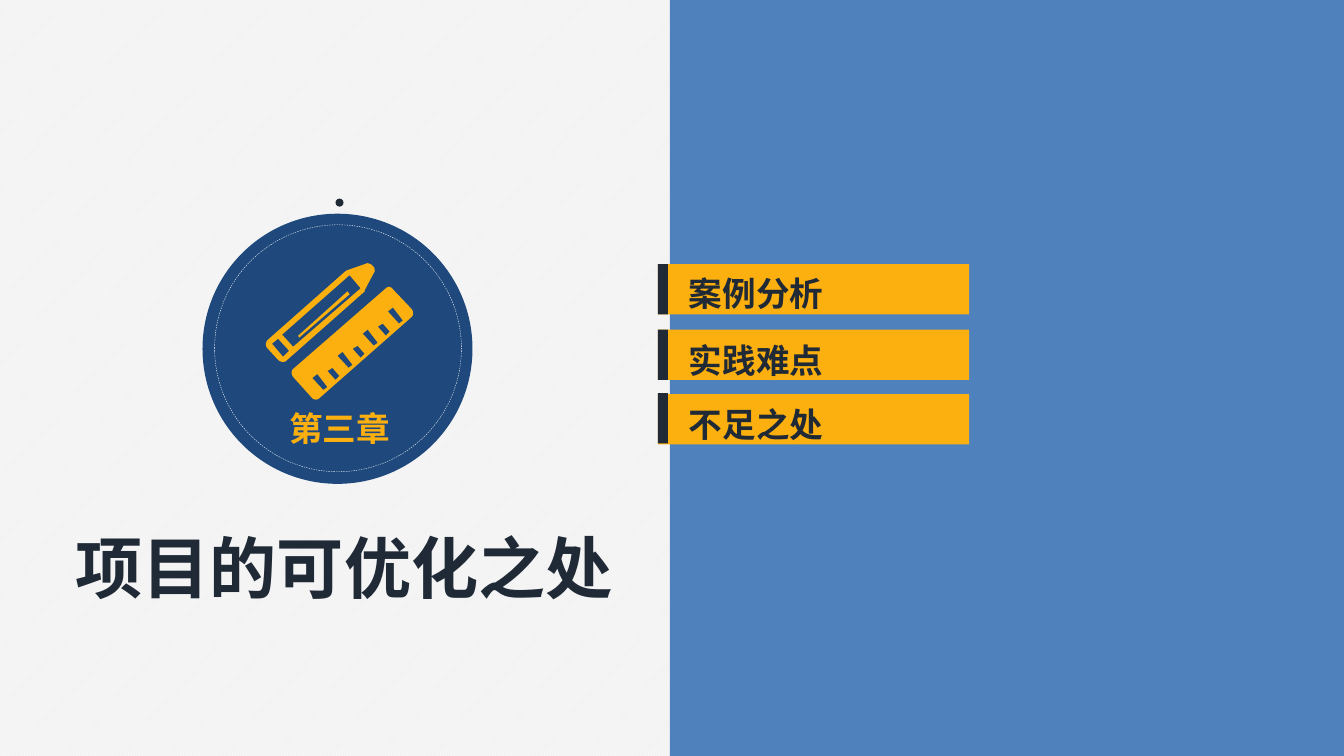
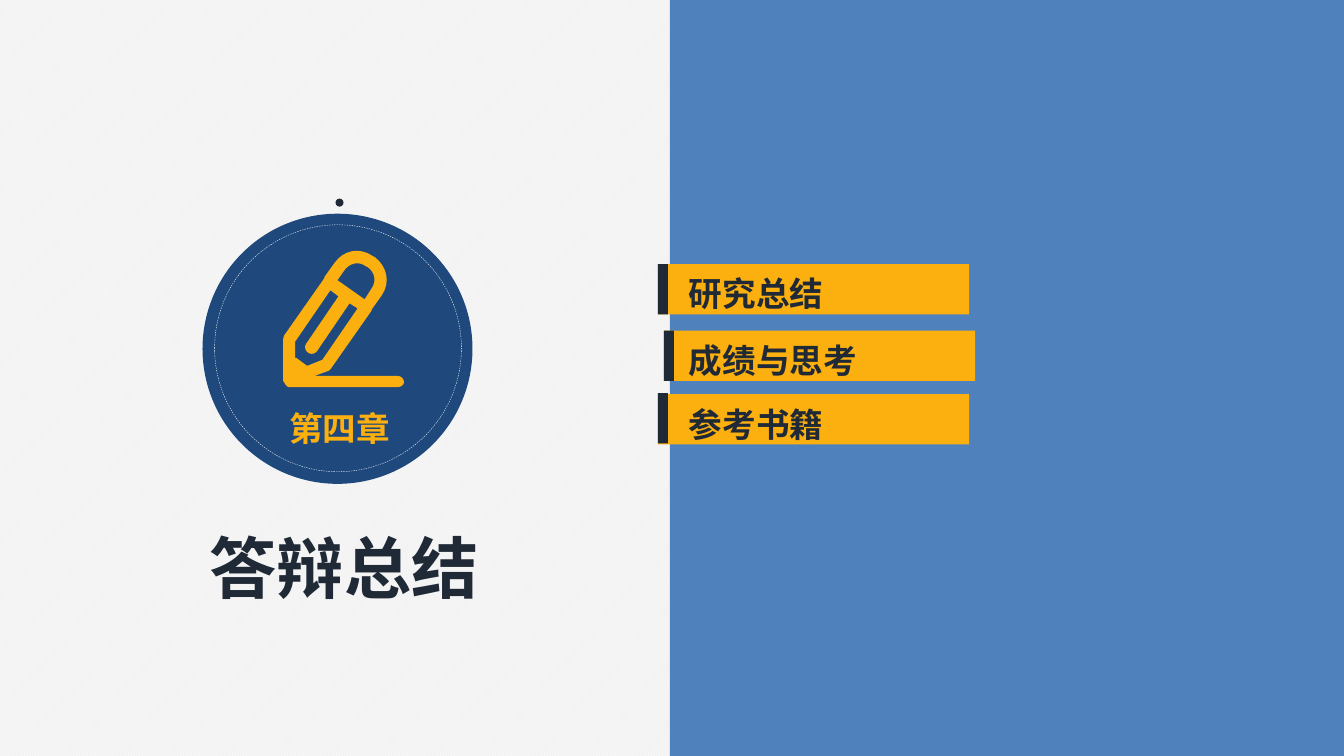
from dataclasses import dataclass

from lxml import etree
from pptx import Presentation
from pptx import util as u
from pptx.dml.color import RGBColor
from pptx.enum import dml, shapes, text
from pptx.oxml.ns import qn

PX = 9144
CURVE_STEPS = 8


@dataclass(frozen=True)
class Theme:
    paper: str = "F2F2F2"
    white: str = "FFFFFF"
    panel: str = "4F81BD"
    badge: str = "1F497D"
    accent: str = "FCB00F"
    ink: str = "202A36"
    font: str = "Noto Sans CJK SC"
    title_size: int = 48
    label_size: int = 24


def ruler_tick(index):
    x, y = 325 + 25 * index // 2, 384 - 11 * index
    corners = [(0, 0), (-7, -8), (-12, -5), (-4, 4)] if index % 2 else [(0, 0), (-10, -13), (-15, -9), (-4, 3)]
    return [(x + dx, y + dy) for dx, dy in corners]


PENCIL_AND_RULER = [
    [(297, 335), (296, 333), (345, 289), (347, 292)],
    [(287, 348), (276, 336), (270, 341), (281, 354)],
    [(358, 286), (347, 273), (280, 332), (291, 344)],
    [(276, 357), (265, 345), (263, 342, 264, 339, 266, 337), (343, 269),
     (344, 269, 344, 268, 345, 268), (365, 261), (367, 262, 369, 262, 370, 264),
     (372, 265, 372, 268, 372, 269), (362, 288), (362, 289, 362, 290, 361, 290),
     (284, 358), (282, 360, 278, 359, 276, 357)],
    *[ruler_tick(index) for index in range(7)],
    [(309, 394), (291, 374), (289, 371, 289, 368, 291, 366), (383, 286),
     (385, 284, 388, 284, 390, 287), (409, 307), (410, 309, 411, 313, 408, 315),
     (317, 395), (315, 397, 311, 397, 309, 394)],
]

WRITING_PENCIL = [
    [(395, 373), (312, 373), (326, 368), (327, 367, 328, 367, 329, 365), (369, 308),
     (369, 307), (379, 293), (388, 280, 384, 264, 372, 255), (370, 254),
     (357, 245, 341, 248, 332, 261), (322, 275), (322, 276), (282, 333),
     (282, 334, 281, 336, 281, 337), (281, 377), (281, 378, 282, 379, 283, 381),
     (284, 382, 285, 384, 287, 384), (395, 384), (398, 384, 401, 382, 401, 379),
     (401, 376, 398, 373, 395, 373)],
    [(342, 268), (347, 261, 356, 259, 363, 264), (365, 265),
     (372, 270, 374, 279, 369, 286), (362, 297), (335, 278)],
    [(294, 355), (293, 355), (293, 339), (328, 288), (336, 294), (304, 341),
     (302, 344, 303, 348, 306, 350), (309, 352, 313, 351, 315, 348), (347, 301),
     (355, 306), (320, 357), (305, 363)],
]

ROWS = [(262, 262, 266), (327, 327, 332), (391, 390, 396)]
CHAPTERS = [
    ("第三章", "项目的可优化之处", PENCIL_AND_RULER,
     [("案例分析", 0, 0), ("实践难点", 0, 0), ("不足之处", 0, 0)]),
    ("第四章", "答辩总结", WRITING_PENCIL,
     [("研究总结", 0, 0), ("成绩与思考", 6, 1), ("参考书籍", 0, 0)]),
]


def flatten(contour):
    points = []
    for step in contour:
        if len(step) == 2:
            points.append(step)
            continue
        start, first, second, end = points[-1], step[:2], step[2:4], step[4:]
        for part in range(1, CURVE_STEPS + 1):
            t = part / CURVE_STEPS
            points.append(tuple(
                (1 - t) ** 3 * a + 3 * t * (1 - t) ** 2 * b + 3 * t * t * (1 - t) * c + t ** 3 * d
                for a, b, c, d in zip(start, first, second, end)))
    return [(x * PX, y * PX) for x, y in points]


class Deck:
    def __init__(self, theme):
        self.theme = theme
        self.prs = Presentation()
        self.prs.slide_width, self.prs.slide_height = 1334 * PX, 750 * PX
        paper = self.prs.slide_master.background.fill
        paper.patterned()
        paper.pattern = dml.MSO_PATTERN.LIGHT_UPWARD_DIAGONAL
        paper.fore_color.rgb = RGBColor.from_string(theme.white)
        paper.back_color.rgb = RGBColor.from_string(theme.paper)

    def new_slide(self):
        self.slide = self.prs.slides.add_slide(self.prs.slide_layouts[5])

    def paint(self, shape, fill):
        shape.shadow.inherit = False
        shape.line.fill.background()
        if fill:
            shape.fill.solid()
            shape.fill.fore_color.rgb = RGBColor.from_string(fill)
        else:
            shape.fill.background()
        return shape

    def block(self, x, y, w, h, fill):
        kind = shapes.MSO_SHAPE.RECTANGLE
        return self.paint(self.slide.shapes.add_shape(kind, x * PX, y * PX, w * PX, h * PX), fill)

    def disc(self, x, y, size, fill=None):
        kind = shapes.MSO_SHAPE.OVAL
        return self.paint(self.slide.shapes.add_shape(kind, x * PX, y * PX, size * PX, size * PX), fill)

    def dashed_ring(self, x, y, size):
        line = self.disc(x, y, size).line
        line.color.rgb = RGBColor.from_string(self.theme.white)
        line.width = u.Pt(0.25)
        line.dash_style = dml.MSO_LINE.DASH

    def icon(self, contours):
        outlines = [flatten(contour) for contour in contours]
        builder = self.slide.shapes.build_freeform(*outlines[0][0], scale=1.0)
        for index, outline in enumerate(outlines):
            if index:
                builder.move_to(*outline[0])
            builder.add_line_segments(outline[1:], close=True)
        self.paint(builder.convert_to_shape(), self.theme.accent)

    def set_words(self, box, words, size, color, align, anchor, wrap=False):
        frame = box.text_frame
        frame.text = words
        frame.word_wrap = wrap
        frame.auto_size = text.MSO_AUTO_SIZE.NONE if wrap else text.MSO_AUTO_SIZE.SHAPE_TO_FIT_TEXT
        frame.vertical_anchor = anchor
        paragraph = frame.paragraphs[0]
        paragraph.alignment = align
        run = paragraph.runs[0]
        run.font.size = u.Pt(size)
        run.font.bold = True
        run.font.name = self.theme.font
        run.font.color.rgb = RGBColor.from_string(color)
        etree.SubElement(run._r.get_or_add_rPr(), qn("a:ea"), typeface=self.theme.font)

    def title(self, words):
        box = self.slide.shapes.title
        box.left, box.top, box.width, box.height = 62 * PX, 517 * PX, 559 * PX, 91 * PX
        self.set_words(box, words, self.theme.title_size, self.theme.ink,
                       text.PP_ALIGN.CENTER, text.MSO_ANCHOR.TOP)

    def label(self, x, y, w, h, words, color, align=text.PP_ALIGN.LEFT,
              anchor=text.MSO_ANCHOR.TOP, wrap=False):
        box = self.slide.shapes.add_textbox(x * PX, y * PX, w * PX, h * PX)
        self.set_words(box, words, self.theme.label_size, color, align, anchor, wrap)

    def badge(self, chapter, contours):
        self.disc(201, 212, 268, self.theme.badge)
        self.disc(333, 197, 8, self.theme.ink)
        self.label(207, 399, 260, 52, chapter, self.theme.accent,
                   text.PP_ALIGN.CENTER, text.MSO_ANCHOR.MIDDLE, wrap=True)
        self.dashed_ring(213, 223, 245)
        self.icon(contours)

    def topic(self, row, words, dx, dy):
        bar_top, marker_top, words_top = row
        self.block(653 + dx, bar_top + dy, 309, 50, self.theme.accent)
        self.block(653 + dx, marker_top + dy, 10, 50, self.theme.ink)
        self.label(674, words_top, 20 + 34 * len(words), 50, words, self.theme.ink)

    def chapter_slide(self, chapter, heading, contours, topics):
        self.new_slide()
        self.title(heading)
        self.block(665, 0, 669, 750, self.theme.panel)
        for row, topic in zip(ROWS, topics):
            self.topic(row, *topic)
        self.badge(chapter, contours)


def main():
    deck = Deck(Theme())
    for chapter in CHAPTERS:
        deck.chapter_slide(*chapter)
    deck.prs.save("out.pptx")


if __name__ == "__main__":
    main()
